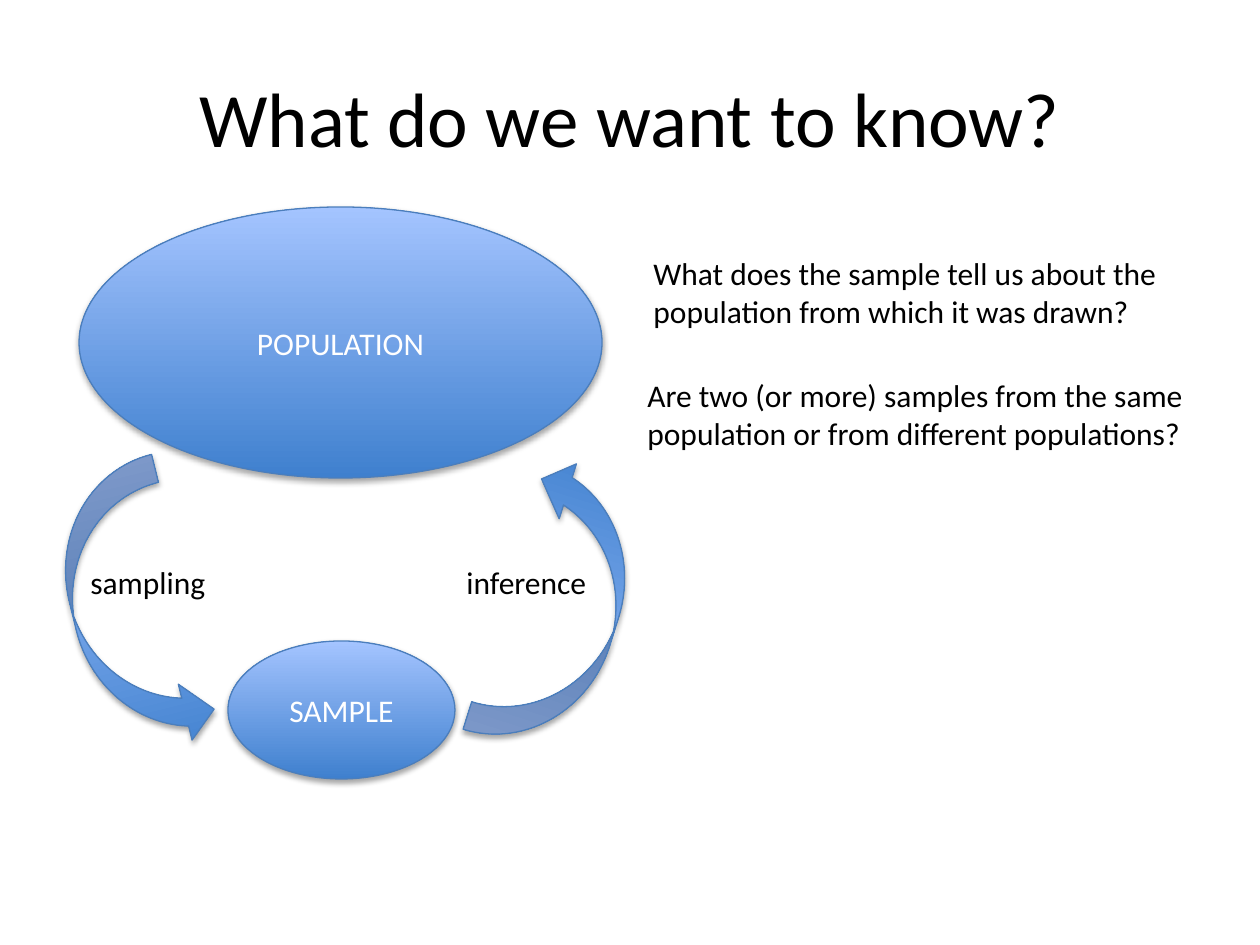
from lxml.etree import SubElement
from pptx import Presentation
from pptx.dml.color import RGBColor
from pptx.enum.shapes import MSO_SHAPE
from pptx.enum.text import MSO_ANCHOR, MSO_AUTO_SIZE, PP_ALIGN
from pptx.oxml.ns import qn
from pptx.util import Emu, Pt

# Content: places are left, top, width, height in px
SLIDE_SIZE = (1260, 945)
TITLE = ("What do we want to know?", (63, 38, 1134, 158))
ELLIPSES = [
    ("POPULATION", (79, 207, 523, 271)),
    ("SAMPLE", (228, 641, 227, 138)),
]
ARROWS = [
    (346.2, (73, 464, 115, 291)),
    (197.4, (504, 462, 115, 291)),
]
LABELS = [
    (["sampling"], (78, 557, 141, 50)),
    (["inference"], (454, 557, 147, 50)),
    (["Are two (or more) samples from the same",
      "population or from different populations?"], (635, 370, 568, 89)),
    (["What does the sample tell us about the",
      "population from which it was drawn?"], (641, 248, 534, 89)),
]
COLORS = {
    "text": "000000",
    "on_shape": "FFFFFF",
    "gradient_start": "3F80CE",
    "gradient_end": "A4C4FF",
    "outline": "4B7EBC",
    "shadow": "000000",
}
FONT = "Calibri"
EMU_PER_PX = 914400 / 126


def color(name):
    return RGBColor.from_string(COLORS[name])


def to_emu(place):
    return [Emu(round(length * EMU_PER_PX)) for length in place]


def format_paragraph(paragraph, size, color_name, alignment):
    paragraph.alignment = alignment
    paragraph.font.name = FONT
    paragraph.font.size = Pt(size)
    paragraph.font.color.rgb = color(color_name)


def add_soft_shadow(shape):
    shape.shadow.inherit = False
    effects = shape._element.spPr.find(qn("a:effectLst"))
    shadow = SubElement(effects, qn("a:outerShdw"), blurRad="40000", dist="23000",
                        dir="5400000", rotWithShape="0")
    shadow_color = SubElement(shadow, qn("a:srgbClr"), val=COLORS["shadow"])
    SubElement(shadow_color, qn("a:alpha"), val="35000")


def add_glossy_shape(slide, kind, place):
    shape = slide.shapes.add_shape(kind, *to_emu(place))
    shape.fill.gradient()
    shape.fill.gradient_angle = 90
    for stop, name in zip(shape.fill.gradient_stops, ("gradient_start", "gradient_end")):
        stop.color.rgb = color(name)
    shape.line.color.rgb = color("outline")
    shape.line.width = Pt(0.75)
    add_soft_shadow(shape)
    return shape


presentation = Presentation()
presentation.slide_width, presentation.slide_height = to_emu(SLIDE_SIZE)
slide = presentation.slides.add_slide(presentation.slide_layouts[5])

# Title
title_text, title_place = TITLE
title = slide.shapes.title
title.left, title.top, title.width, title.height = to_emu(title_place)
title.text_frame.text = title_text
title.text_frame.vertical_anchor = MSO_ANCHOR.MIDDLE
format_paragraph(title.text_frame.paragraphs[0], 44, "text", PP_ALIGN.CENTER)

# Population and sample
for text, place in ELLIPSES:
    ellipse = add_glossy_shape(slide, MSO_SHAPE.OVAL, place)
    ellipse.text_frame.text = text
    ellipse.text_frame.vertical_anchor = MSO_ANCHOR.MIDDLE
    format_paragraph(ellipse.text_frame.paragraphs[0], 18, "on_shape", PP_ALIGN.CENTER)

# Arrows of the cycle
for rotation, place in ARROWS:
    arrow = add_glossy_shape(slide, MSO_SHAPE.CURVED_RIGHT_ARROW, place)
    arrow.rotation = rotation

# Arrow labels and questions
for lines, place in LABELS:
    text_frame = slide.shapes.add_textbox(*to_emu(place)).text_frame
    text_frame.word_wrap = False
    text_frame.auto_size = MSO_AUTO_SIZE.SHAPE_TO_FIT_TEXT
    text_frame.text = "\n".join(lines)
    for paragraph in text_frame.paragraphs:
        format_paragraph(paragraph, 18, "text", PP_ALIGN.LEFT)

presentation.save("out.pptx")
